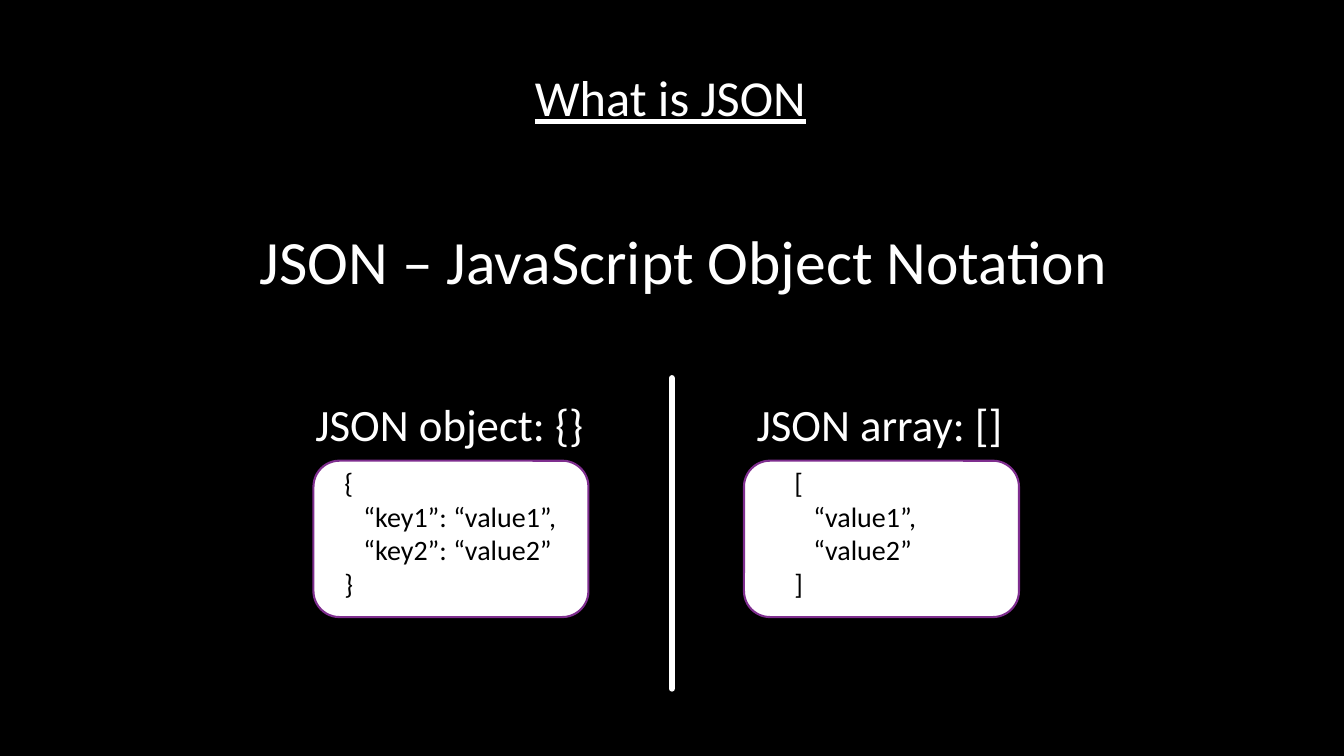
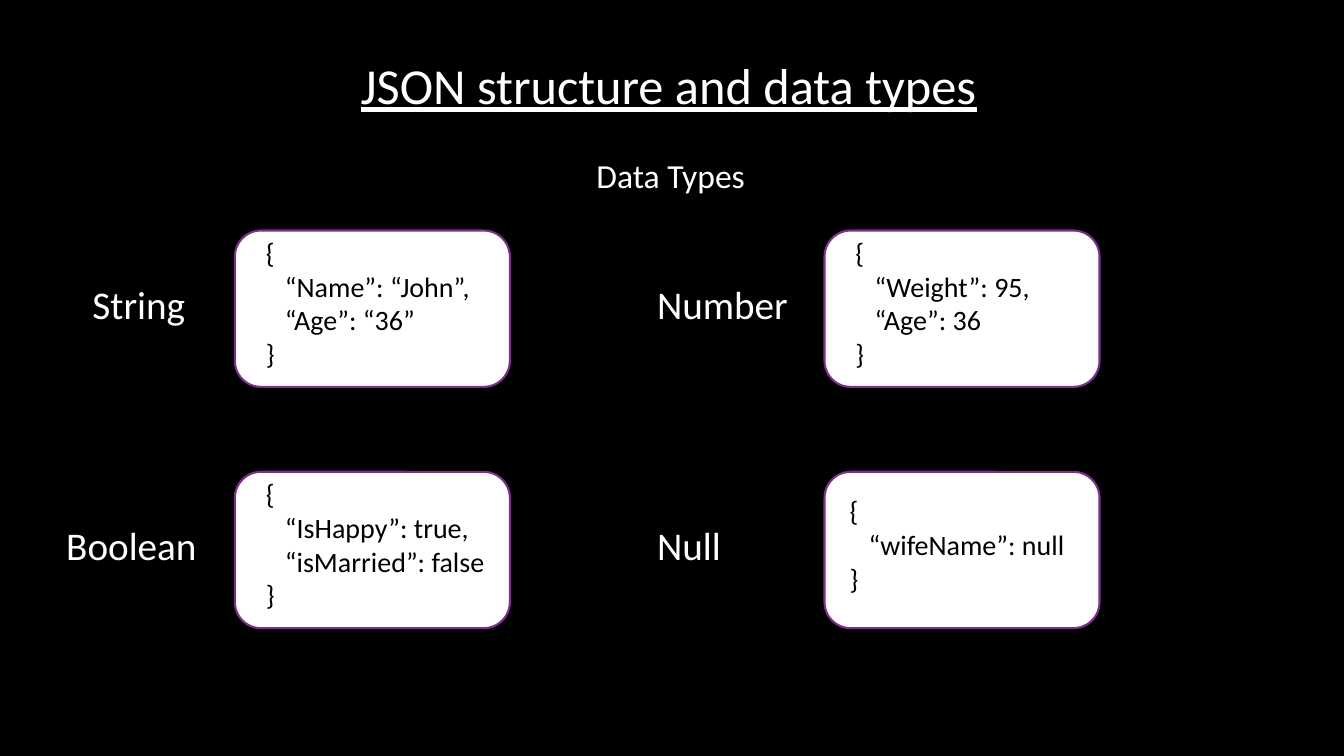
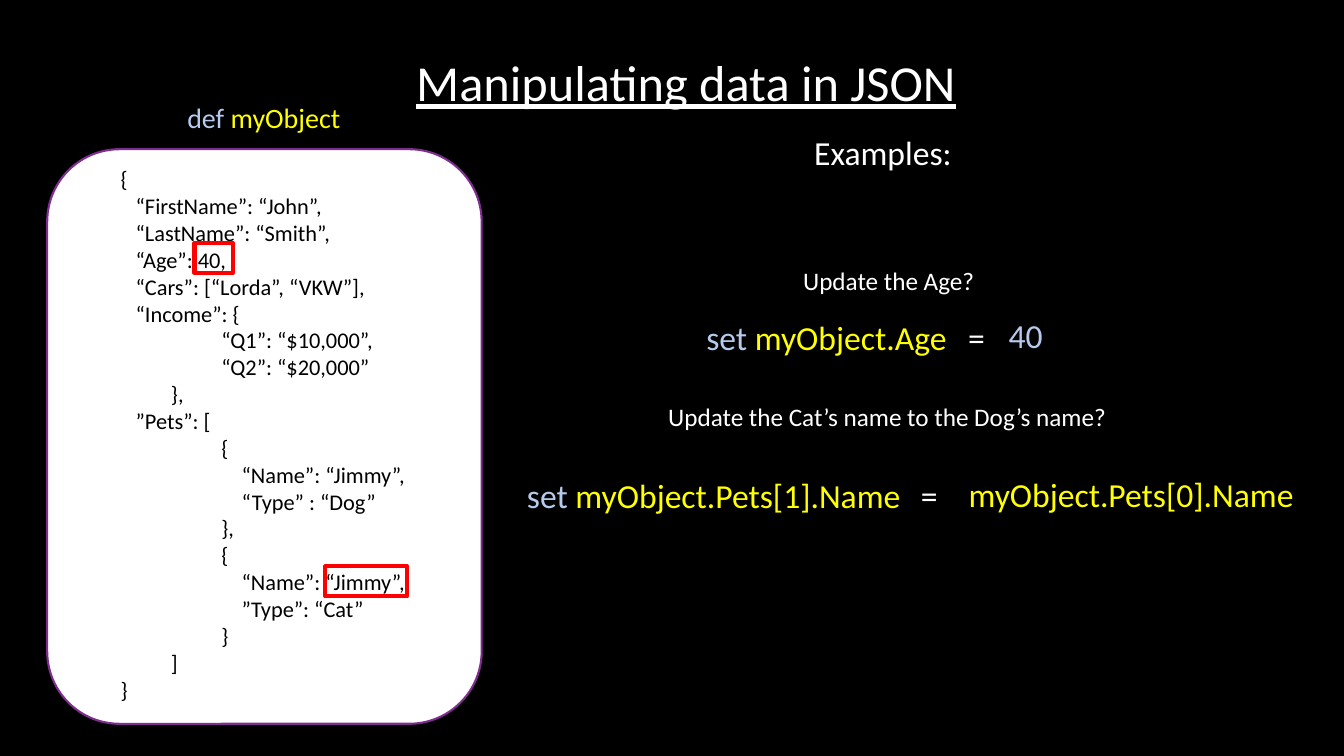
from dataclasses import dataclass

from lxml.etree import SubElement
from pptx import Presentation
from pptx.dml.color import RGBColor
from pptx.enum.shapes import MSO_CONNECTOR as Connector, MSO_SHAPE as Preset
from pptx.enum.text import MSO_AUTO_SIZE as AutoSize
from pptx.oxml.ns import qn
from pptx.slide import Slide
from pptx.util import Cm, Pt

# Shared style
BLACK = RGBColor(0x00, 0x00, 0x00)
WHITE = RGBColor(0xFF, 0xFF, 0xFF)
PURPLE = RGBColor(0x7F, 0x2E, 0x8F)
RED = RGBColor(0xFF, 0x00, 0x00)
YELLOW = RGBColor(0xFF, 0xFF, 0x00)
PALE_BLUE = RGBColor(0xB5, 0xCA, 0xED)
FONT = "Calibri"
TITLE_SIZE = 36
CARD_WIDTH, CARD_HEIGHT = 6.93, 3.94
LINE_HEIGHT = 1.22 / 28.35  # centimetres per point of text size
INSETS = 0.25
KEY = 0.48  # indent of a key in a small card


@dataclass(frozen=True)
class Span:
    text: str
    color: RGBColor = WHITE


@dataclass(frozen=True)
class Line:
    spans: tuple[Span, ...]
    indent: float = 0
    tab: float = 0


@dataclass(frozen=True)
class Label:
    left: float
    top: float
    width: float
    size: int
    text: str


@dataclass(frozen=True)
class Card:
    left: float
    top: float
    code: tuple[Line, ...]
    code_width: float
    code_left: float = 0.53  # offsets of the code inside the card
    code_top: float = 0
    width: float = CARD_WIDTH
    height: float = CARD_HEIGHT
    size: int = 20


def code(*rows: tuple[float, str]) -> tuple[Line, ...]:
    return tuple(Line((Span(text, BLACK),), indent) for indent, text in rows)


def braced(*keys: str, marks: str = "{}") -> tuple[Line, ...]:
    return code((0, marks[0]), *((KEY, key) for key in keys), (0, marks[1]))


# Drawing
def add_text(page: Slide, left: float, top: float, width: float, size: int,
             lines: tuple[Line, ...], wrap: bool = False,
             underline: bool = False) -> None:
    height = len(lines) * size * LINE_HEIGHT + INSETS
    box = page.shapes.add_textbox(Cm(left), Cm(top), Cm(width), Cm(height))
    frame = box.text_frame
    frame.word_wrap = wrap
    frame.auto_size = AutoSize.SHAPE_TO_FIT_TEXT
    font_format = {"name": FONT, "size": Pt(size), "underline": underline}
    for index, line in enumerate(lines):
        para = frame.add_paragraph() if index else frame.paragraphs[0]
        props = para._p.get_or_add_pPr()
        if line.indent:
            props.set("marL", str(Cm(line.indent)))
            props.set("indent", "0")
        if line.tab:
            stops = SubElement(props, qn("a:tabLst"))
            SubElement(stops, qn("a:tab"), pos=str(Cm(line.tab)), algn="l")
        for span in line.spans:
            run = para.add_run()
            run.text = span.text
            for name, value in font_format.items():
                setattr(run.font, name, value)
            run.font.color.rgb = span.color


def add_label(page: Slide, label: Label, underline: bool = False) -> None:
    add_text(page, label.left, label.top, label.width, label.size,
             (Line((Span(label.text),)),), underline=underline)


def add_outline(page: Slide, preset: Preset, left: float, top: float,
                width: float, height: float, color: RGBColor, weight: float,
                fill: RGBColor | None = None) -> None:
    shape = page.shapes.add_shape(preset, Cm(left), Cm(top), Cm(width), Cm(height))
    shape.shadow.inherit = False
    if fill is None:
        shape.fill.background()
    else:
        shape.fill.solid()
        shape.fill.fore_color.rgb = fill
    shape.line.color.rgb = color
    shape.line.width = Pt(weight)


def add_card(page: Slide, card: Card) -> None:
    add_outline(page, Preset.ROUNDED_RECTANGLE, card.left, card.top,
                card.width, card.height, PURPLE, 1.5, WHITE)
    add_text(page, card.left + card.code_left, card.top + card.code_top,
             card.code_width, card.size, card.code)


def add_divider(page: Slide, x: float, top: float, bottom: float) -> None:
    divider = page.shapes.add_connector(
        Connector.STRAIGHT, Cm(x), Cm(top), Cm(x), Cm(bottom))
    divider.line.color.rgb = WHITE
    divider.line.width = Pt(4.5)
    props = divider.element.spPr
    props.find(qn("a:ln")).set("cap", "rnd")
    SubElement(props, qn("a:effectLst"))


def add_page(deck: Presentation, title: Label) -> Slide:
    page = deck.slides.add_slide(deck.slide_layouts[6])
    add_label(page, title, underline=True)
    return page


# Slide 1
def build_definition(deck: Presentation) -> None:
    page = add_page(deck, Label(13.23, 1.55, 7.42, TITLE_SIZE, "What is JSON"))
    for label in (
        Label(6.3, 5.49, 22.1, 44, "JSON – JavaScript Object Notation"),
        Label(7.7, 9.88, 7.34, 32, "JSON object: {}"),
        Label(18.82, 9.88, 6.78, 32, "JSON array: []"),
    ):
        add_label(page, label)
    add_divider(page, 16.93, 9.53, 17.35)
    top = 11.61
    add_card(page, Card(7.9, top, braced("“key1”: “value1”,", "“key2”: “value2”"), 5.89))
    add_card(page, Card(18.75, top, braced("“value1”,", "“value2”", marks="[]"),
                        3.61, code_left=1.02))


# Slide 2
def build_data_types(deck: Presentation) -> None:
    page = add_page(deck, Label(8.84, 1.24, 16.18, TITLE_SIZE,
                                "JSON structure and data types"))
    add_label(page, Label(14.78, 3.78, 4.29, 24, "Data Types"))
    left, right = 5.92, 20.78
    upper, lower = 5.81, 11.89
    label_drop = 1.13
    for name, name_left, name_width, card in (
        ("String", 2.08, 2.87,
         Card(left, upper, braced("“Name”: “John”,", "“Age”: “36”"), 5.79)),
        ("Number", 16.31, 3.84,
         Card(right, upper, braced("“Weight”: 95,", "“Age”: 36"), 4.93)),
        ("Boolean", 1.42, 3.84,
         Card(left, lower, braced("“IsHappy”: true,", "“isMarried”: false"), 6.07)),
        ("Null", 16.31, 2.13,
         Card(right, lower, braced("“wifeName”: null"), 5.97, 0.38, 0.43)),
    ):
        add_label(page, Label(name_left, card.top + label_drop, name_width, 28, name))
        add_card(page, card)


# Slide 3
def build_manipulation(deck: Presentation) -> None:
    page = add_page(deck, Label(10.24, 1.17, 14.25, TITLE_SIZE,
                                "Manipulating data in JSON"))
    key, step = 0.38, 1.27
    item, field = 2 * step, 2 * step + 0.51
    person = code(
        (0, "{"),
        (key, "“FirstName”: “John”,"),
        (key, "“LastName”: “Smith”,"),
        (key, "“Age”: 40,"),
        (key, "“Cars”: [“Lorda”, “VKW”],"),
        (key, "“Income”: {"),
        (item, "“Q1”: “$10,000”,"),
        (item, "“Q2”: “$20,000”"),
        (step, "},"),
        (key, "”Pets”: ["),
        (item, "{"),
        (field, "“Name”: “Jimmy”,"),
        (field, "“Type” : “Dog”"),
        (item, "},"),
        (item, "{"),
        (field, "“Name”: “Jimmy”,"),
        (field, "”Type”: “Cat”"),
        (item, "}"),
        (step, "]"),
        (0, "}"),
    )
    add_card(page, Card(1.19, 3.76, person, 7.77, 1.6, 0.28, 10.95, 14.48, 16))

    # Questions
    for label in (
        Label(20.27, 3.2, 4.01, 24, "Examples:"),
        Label(19.99, 6.55, 4.88, 18, "Update the Age?"),
        Label(16.59, 9.98, 11.68, 18, "Update the Cat’s name to the Dog’s name?"),
    ):
        add_label(page, label)

    # Statements
    definition = (Span("def ", PALE_BLUE), Span("myObject", YELLOW))
    add_text(page, 4.47, 2.41, 4.57, 20, (Line(definition),))
    for left, top, width, target, tab in (
        (17.55, 7.85, 7.85, "myObject.Age", 6.6),
        (13.03, 11.84, 11.28, "myObject.Pets[1].Name", 9.93),
    ):
        spans = (Span("set ", PALE_BLUE), Span(target, YELLOW), Span("\t="))
        add_text(page, left, top, width, 24, (Line(spans, tab=tab),), wrap=True)
    for left, top, width, value in (
        (25.17, 7.82, 1.37, Span("40", PALE_BLUE)),
        (24.16, 11.81, 8.79, Span("myObject.Pets[0].Name", YELLOW)),
    ):
        add_text(page, left, top, width, 24, (Line((value,)),))

    # Marks around the changed values
    for left, top, width in ((4.9, 6.12, 0.97), (8.2, 14.27, 2.06)):
        add_outline(page, Preset.RECTANGLE, left, top, width, 0.76, RED, 3)


def main() -> None:
    deck = Presentation()
    deck.slide_width, deck.slide_height = Cm(33.87), Cm(19.05)
    backdrop = deck.slide_master.background.fill
    backdrop.solid()
    backdrop.fore_color.rgb = BLACK
    for build in (build_definition, build_data_types, build_manipulation):
        build(deck)
    deck.save("out.pptx")


if __name__ == "__main__":
    main()
